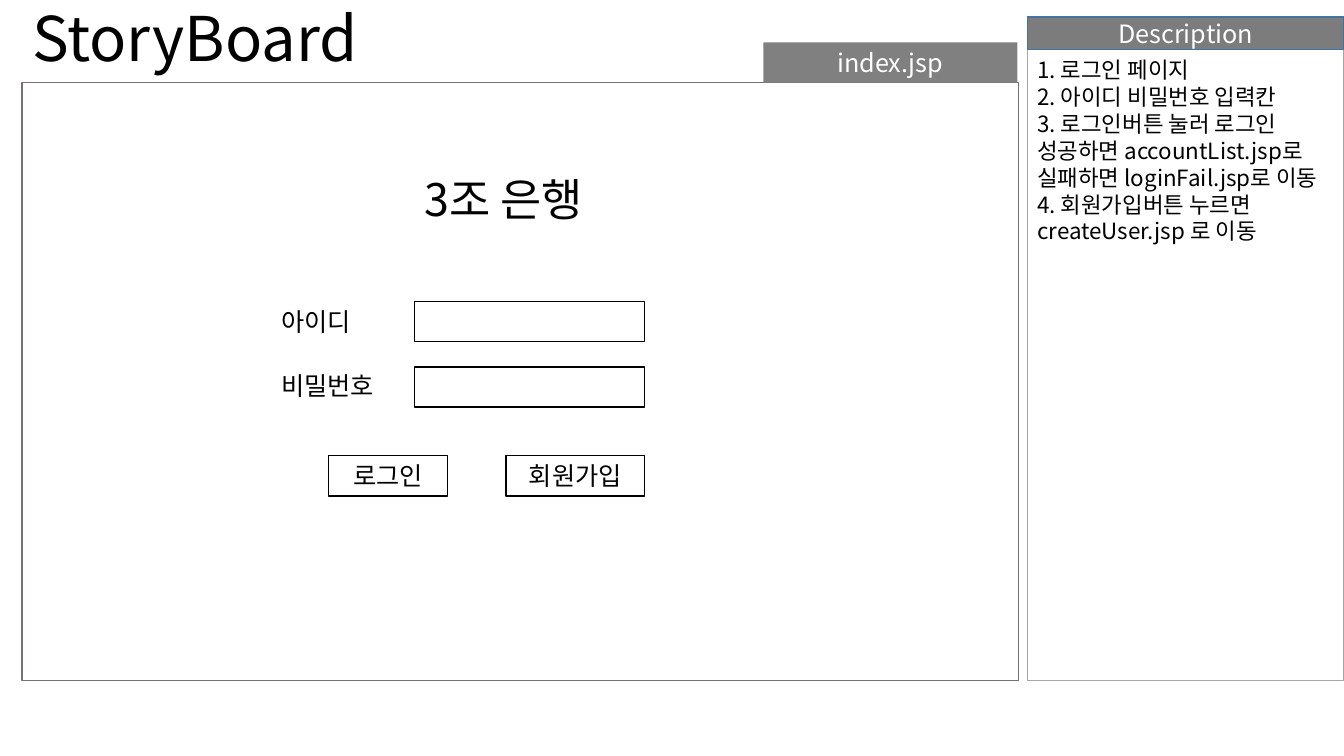
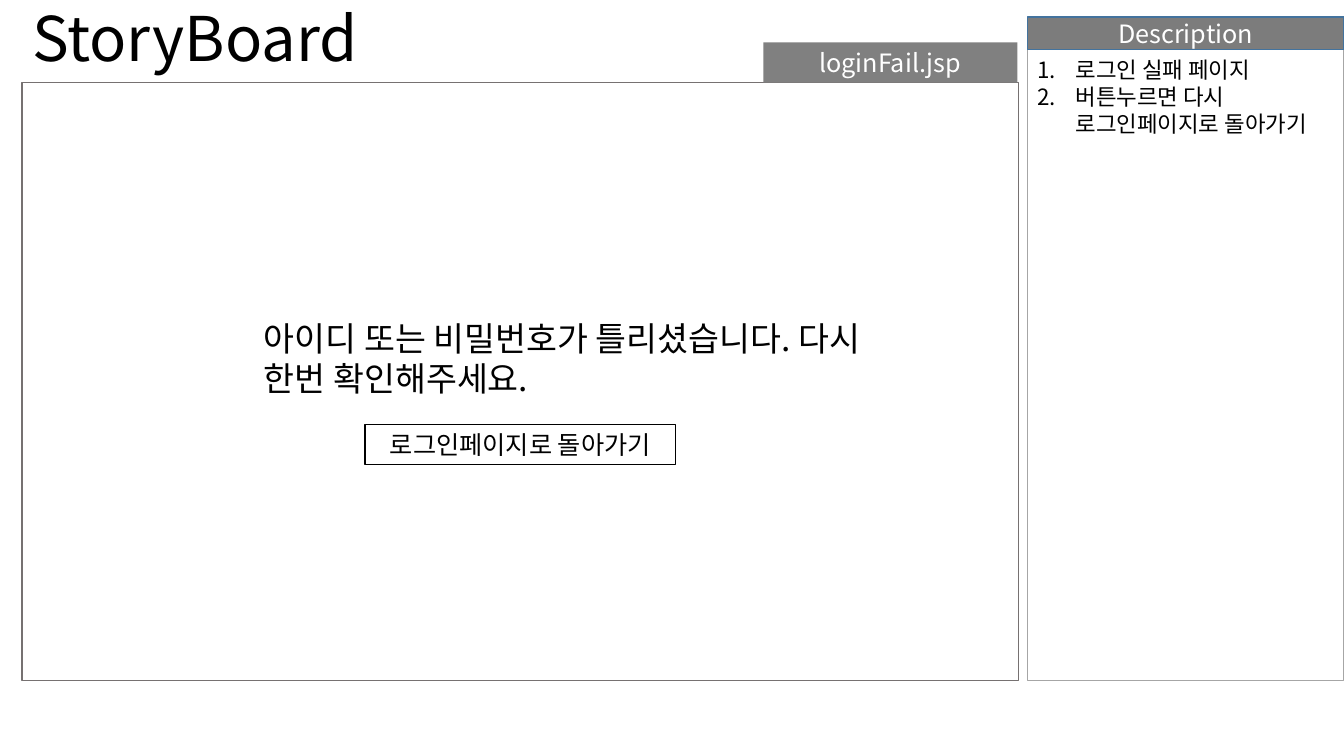
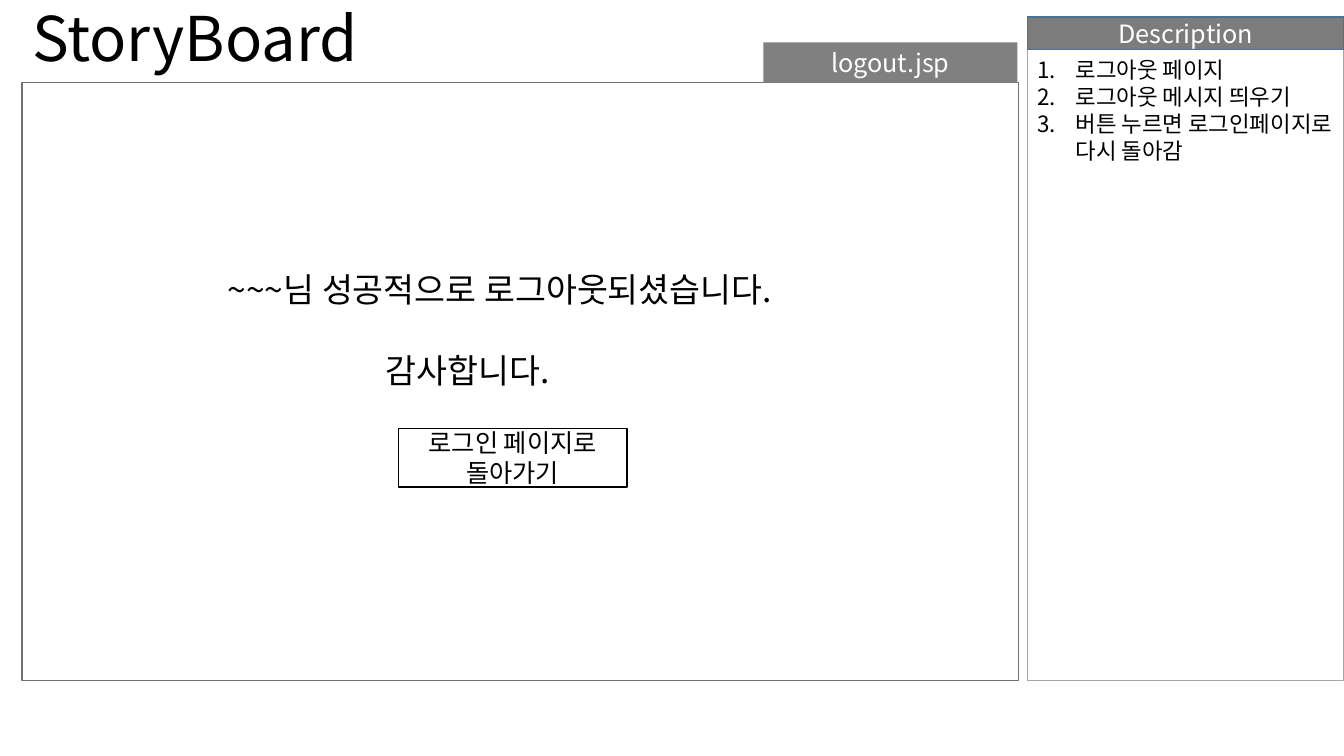
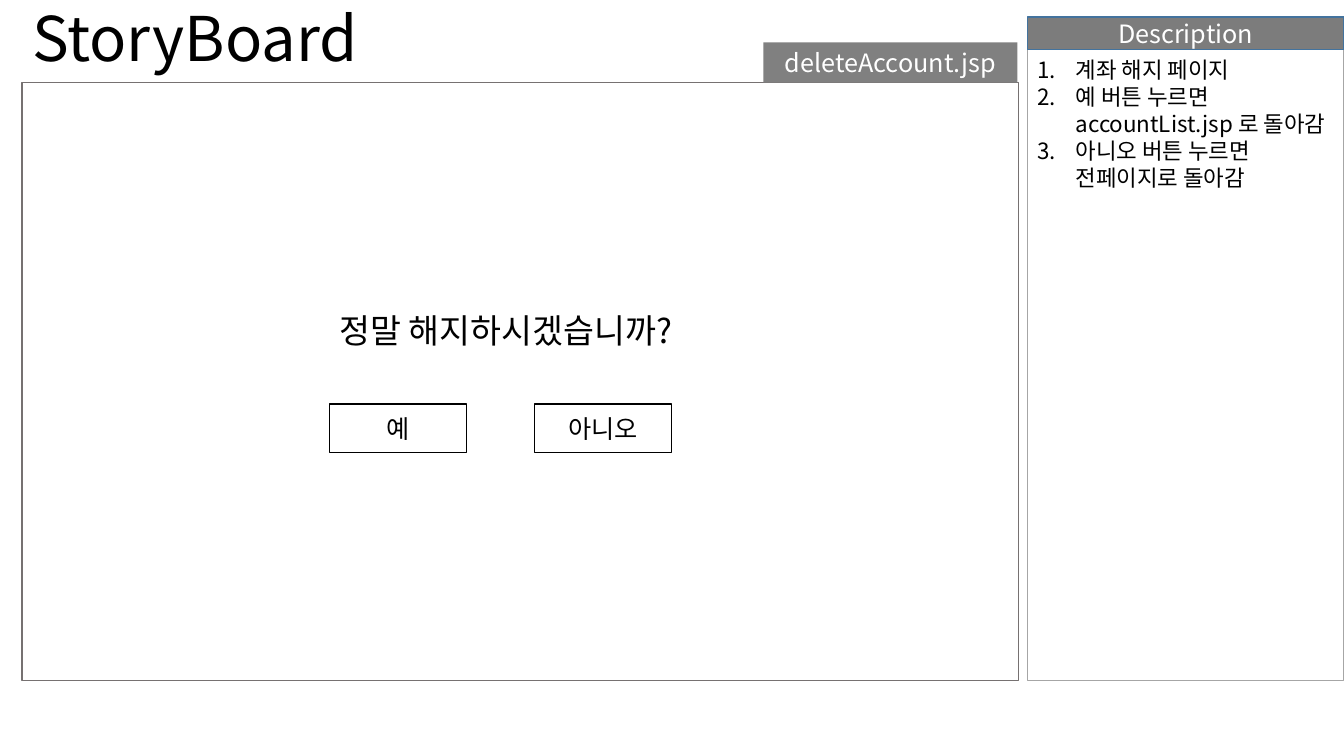
from dataclasses import dataclass

from lxml import etree
from pptx import Presentation
from pptx.dml.color import RGBColor
from pptx.enum.shapes import MSO_SHAPE
from pptx.enum.text import MSO_ANCHOR, PP_ALIGN
from pptx.oxml.ns import qn
from pptx.util import Emu, Pt

RECTANGLE = MSO_SHAPE.RECTANGLE
TOP, MIDDLE = MSO_ANCHOR.TOP, MSO_ANCHOR.MIDDLE
LEFT, CENTER = PP_ALIGN.LEFT, PP_ALIGN.CENTER

EMU_PER_PX = 9144
FONT = "Noto Sans CJK KR"
BLACK, WHITE = "000000", "FFFFFF"
TAB_GRAY, HEADER_GRAY = "808080", "7C7C7C"
CANVAS_LINE, PANEL_LINE, HEADER_LINE = "767171", "A6A6A6", "43739E"


@dataclass
class Box:
    left: int
    top: int
    width: int
    height: int

    def inner(self, left, top, width, height):
        return Box(self.left + left, self.top + top, width, height)

    def emu(self):
        return [px(n) for n in (self.left, self.top, self.width, self.height)]


TITLE = Box(22, 1, 1150, 81)
CANVAS = Box(22, 82, 988, 593)
PANEL = Box(1019, 17, 314, 658)


def px(length):
    return Emu(length * EMU_PER_PX)


def color(value):
    return RGBColor.from_string(value)


def add_span(para, text, size, ink):
    span = para.add_run()
    span.text = text
    span.font.size = Pt(size)
    span.font.color.rgb = color(ink)
    span.font.name = FONT
    etree.SubElement(span.font._element, qn("a:ea"), typeface=FONT)


def number_para(para):
    properties = para._p.get_or_add_pPr()
    properties.set("marL", str(px(38)))
    properties.set("indent", str(px(-38)))
    etree.SubElement(properties, qn("a:buFont"), typeface="+mj-lt")
    etree.SubElement(properties, qn("a:buAutoNum"), type="arabicPeriod")


def write(shape, texts, size, ink=BLACK, align=LEFT, anchor=TOP):
    frame = shape.text_frame
    frame.word_wrap = True
    frame.vertical_anchor = anchor
    for index, text in enumerate(texts):
        para = frame.add_paragraph() if index else frame.paragraphs[0]
        para.alignment = align
        add_span(para, text, size, ink)
    return frame.paragraphs


def add_text(page, box, texts, size, anchor=TOP):
    return write(page.shapes.add_textbox(*box.emu()), texts, size, anchor=anchor)


def add_rect(page, box, fill=None, line=None, weight=1):
    shape = page.shapes.add_shape(RECTANGLE, *box.emu())
    shape.shadow.inherit = False
    if fill:
        shape.fill.solid()
        shape.fill.fore_color.rgb = color(fill)
    else:
        shape.fill.background()
    if line:
        shape.line.color.rgb = color(line)
        shape.line.width = Pt(weight)
    else:
        shape.line.fill.background()
    return shape


def add_button(page, box, label):
    write(add_rect(page, box, line=BLACK), [label], 18, align=CENTER, anchor=MIDDLE)


def add_title(page, box):
    add_text(page, box, ["StoryBoard"], 44, MIDDLE)[0].line_spacing = 0.9


def add_canvas(page, box, file_name):
    add_rect(page, box, line=CANVAS_LINE)
    tab = add_rect(page, box.inner(box.width - 253, -40, 252, 40), TAB_GRAY)
    write(tab, [file_name], 18, WHITE, CENTER)


def add_description(page, box, notes, numbered):
    header_height = 32
    body = box.inner(0, header_height, box.width, box.height - header_height)
    add_rect(page, body, line=PANEL_LINE, weight=0.75)
    header = add_rect(page, box.inner(0, 0, box.width, header_height), HEADER_GRAY, HEADER_LINE)
    write(header, ["Description"], 18, WHITE, CENTER, MIDDLE)
    paras = add_text(page, body.inner(0, 2, box.width + 10, 199), notes, 16)
    if numbered:
        for para in paras:
            number_para(para)


def draw_login(page, box):
    add_text(page, box.inner(389, 83, 210, 64), ["3조 은행"], 32)
    for row, label in enumerate(["아이디", "비밀번호"]):
        add_text(page, box.inner(247, 217 + 63 * row, 233, 40), [label], 18)
        add_rect(page, box.inner(389, 217 + 65 * row, 228, 40), WHITE, BLACK)
    add_button(page, box.inner(304, 370, 118, 40), "로그인")
    add_button(page, box.inner(480, 370, 137, 40), "회원가입")


def draw_login_failure(page, box):
    message = "아이디 또는 비밀번호가 틀리셨습니다. 다시 한번 확인해주세요."
    add_text(page, box.inner(230, 228, 616, 131), [message], 24)
    add_button(page, box.inner(340, 339, 308, 40), "로그인페이지로 돌아가기")


def draw_logout(page, box):
    messages = ["~~~님 성공적으로 로그아웃되셨습니다.", "감사합니다."]
    thanks = add_text(page, box.inner(194, 180, 616, 172), messages, 24)[1]
    thanks.space_before = Pt(29)
    thanks._p.get_or_add_pPr().set("marL", str(px(157)))
    add_button(page, box.inner(373, 343, 227, 58), "로그인 페이지로 돌아가기")


def draw_account_deletion(page, box):
    add_text(page, box.inner(305, 221, 616, 50), ["정말 해지하시겠습니까?"], 24)
    for column, label in enumerate(["예", "아니오"]):
        add_button(page, box.inner(305 + 203 * column, 319, 136, 48), label)


SCREENS = [
    ("index.jsp", draw_login, False, [
        "1. 로그인 페이지",
        "2. 아이디 비밀번호 입력칸",
        "3. 로그인버튼 눌러 로그인 성공하면 accountList.jsp로",
        "실패하면 loginFail.jsp로 이동",
        "4. 회원가입버튼 누르면 createUser.jsp 로 이동",
    ]),
    ("loginFail.jsp", draw_login_failure, True, [
        "로그인 실패 페이지",
        "버튼누르면 다시 로그인페이지로 돌아가기",
    ]),
    ("logout.jsp", draw_logout, True, [
        "로그아웃 페이지",
        "로그아웃 메시지 띄우기",
        "버튼 누르면 로그인페이지로 다시 돌아감",
    ]),
    ("deleteAccount.jsp", draw_account_deletion, True, [
        "계좌 해지 페이지",
        "예 버튼 누르면 accountList.jsp 로 돌아감",
        "아니오 버튼 누르면 전페이지로 돌아감",
    ]),
]


def main():
    deck = Presentation()
    deck.slide_width, deck.slide_height = px(1333), px(750)
    blank = deck.slide_layouts[6]
    for file_name, draw_screen, numbered, notes in SCREENS:
        page = deck.slides.add_slide(blank)
        add_title(page, TITLE)
        add_description(page, PANEL, notes, numbered)
        add_canvas(page, CANVAS, file_name)
        draw_screen(page, CANVAS)
    deck.save("out.pptx")


if __name__ == "__main__":
    main()
